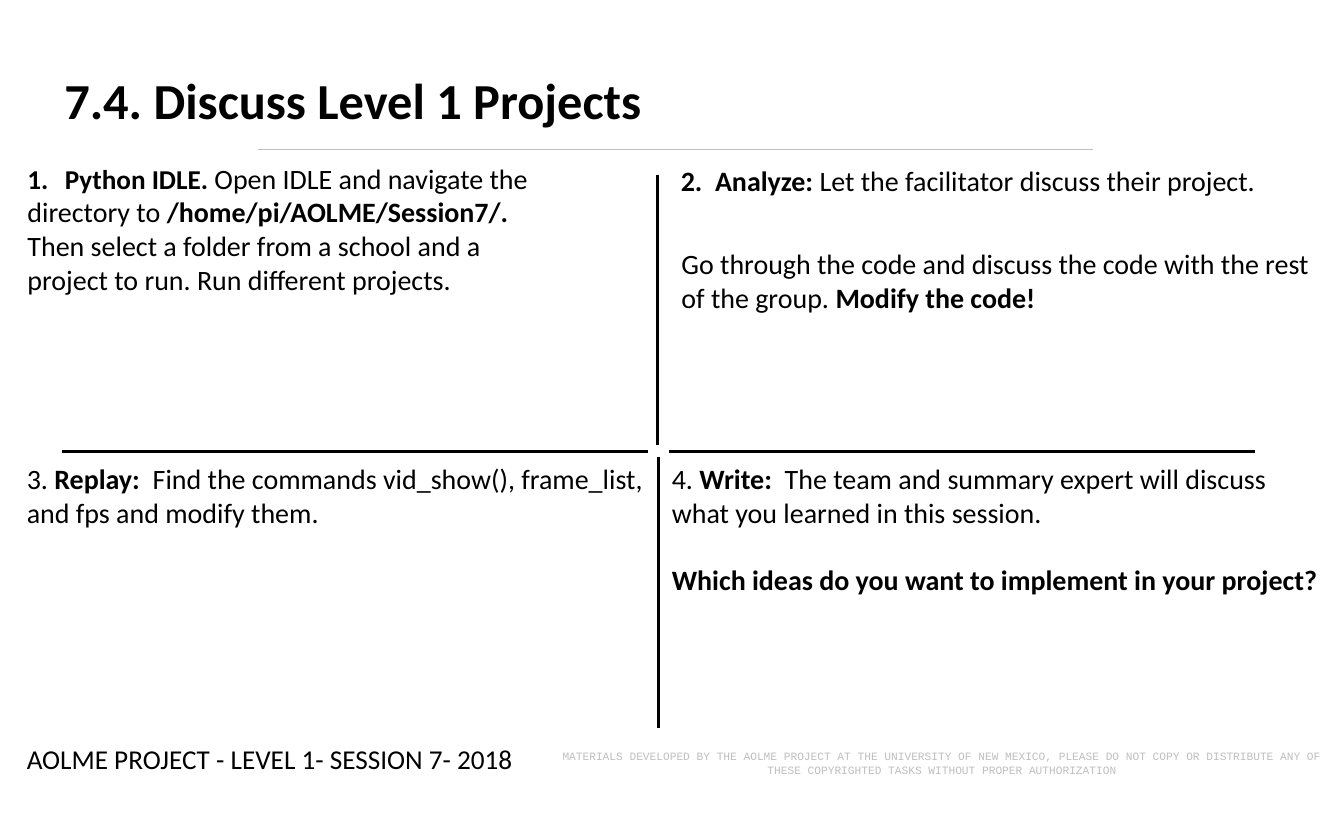
from lxml import etree
from pptx import Presentation
from pptx.dml.color import RGBColor
from pptx.enum.shapes import MSO_CONNECTOR
from pptx.enum.text import MSO_ANCHOR, MSO_AUTO_SIZE, PP_ALIGN
from pptx.oxml.ns import qn
from pptx.util import Pt

STRAIGHT = MSO_CONNECTOR.STRAIGHT
TOP, MIDDLE = MSO_ANCHOR.TOP, MSO_ANCHOR.MIDDLE
LEFT, CENTER = PP_ALIGN.LEFT, PP_ALIGN.CENTER
NO_AUTOSIZE = MSO_AUTO_SIZE.NONE

COLORS = {"ink": "000000", "rule": "BFBFBF", "notice": "BFBFBF"}
BODY = {"name": "Calibri", "size": Pt(21), "bold": False}
BOLD = {"bold": True}


def place(sp, box):
    sp.left, sp.top, sp.width, sp.height = [Pt(v) for v in box]


def add_box(s, box):
    return s.shapes.add_textbox(*[Pt(v) for v in box])


def add_line(s, x1, y1, x2, y2, color="ink", width=2.25):
    sp = s.shapes.add_connector(STRAIGHT, Pt(x1), Pt(y1), Pt(x2), Pt(y2))
    sp.line.color.rgb = RGBColor.from_string(COLORS[color])
    sp.line.width = Pt(width)
    etree.SubElement(sp._element.spPr, qn("a:effectLst"))


def set_bullet(p, number=False, indent=0):
    pPr = p._p.get_or_add_pPr()
    pPr.set("marL", str(Pt(indent)))
    pPr.set("indent", str(-Pt(indent)))
    if number:
        etree.SubElement(pPr, qn("a:buFont"), typeface="+mj-lt")
        etree.SubElement(pPr, qn("a:buAutoNum"), type="arabicPeriod")
    else:
        etree.SubElement(pPr, qn("a:buNone"))


def fill_text(sp, paragraphs, base=BODY, color="ink", align=LEFT, anchor=TOP,
              wrap=True, gap=0):
    """Each paragraph is a list of (text, format changes) runs."""
    tf = sp.text_frame
    tf.auto_size = NO_AUTOSIZE
    tf.word_wrap = wrap
    tf.vertical_anchor = anchor
    for i, runs in enumerate(paragraphs):
        p = tf.paragraphs[0] if i == 0 else tf.add_paragraph()
        p.alignment = align
        p.space_before = Pt(gap if i else 0)
        for text, changes in runs:
            r = p.add_run()
            r.text = text
            for key, value in {**base, **changes}.items():
                setattr(r.font, key, value)
            r.font.color.rgb = RGBColor.from_string(COLORS[color])
    return tf


def build_title(s, box):
    sp = s.shapes.title
    place(sp, box)
    fill_text(sp, [[("7.4. Discuss Level 1 Projects", {})]],
              {**BODY, "size": Pt(37.8), "bold": True})
    # Thin rule under the title
    add_line(s, 193.7, 112, 819.4, 112, "rule", 0.75)


def build_dividers(s, box):
    left, top, width, height = box
    right, bottom = left + width, top + height
    mid_x, mid_y = left + width / 2, top + height / 2
    for x1, x2 in ((left, mid_x - 8), (mid_x + 8, right)):
        add_line(s, x1, mid_y, x2, mid_y)
    for x, y1, y2 in ((mid_x - 1, top, mid_y - 5), (mid_x, mid_y + 4, bottom)):
        add_line(s, x, y1, x, y2)


def build_run_step(s, box):
    sp = s.placeholders[1]
    place(sp, box)
    tf = fill_text(sp, [
        [("Python IDLE. ", {**BOLD, "size": Pt(20.4)}),
         ("Open IDLE and navigate the", {})],
        [("directory to ", {}), ("/home/pi/AOLME/Session7/.", BOLD)],
        [("Then select a folder from a school and a", {})],
        [("project to run. Run different projects.", {})],
    ])
    set_bullet(tf.paragraphs[0], number=True, indent=28)
    for p in tf.paragraphs[1:]:
        set_bullet(p)


def build_analyze_step(s, box):
    left, top, width, height = box
    fill_text(add_box(s, (left, top, width, 32.4)), [
        [("2.  Analyze: ", BOLD),
         ("Let the facilitator discuss their project.", {})]])
    fill_text(add_box(s, (left + 0.5, top + 62.6, width, height - 62.6)), [
        [("Go through the code and discuss the code with the rest of the group. ",
          {}), ("Modify the code!", BOLD)]])


def build_replay_step(s, box):
    fill_text(add_box(s, box), [
        [("3. ", {}), ("Replay:  ", BOLD),
         ("Find the commands vid_show(), frame_list, and fps and modify them.",
          {})]])


def build_write_step(s, box):
    fill_text(add_box(s, box), [
        [("4. ", {}), ("Write:  ", BOLD),
         ("The team and summary expert will discuss what you learned in this "
          "session.", {})],
        [("Which ideas do you want to implement in your project?", BOLD)],
    ], gap=25)


def build_footer(s, box):
    left, top, width, height = box
    fill_text(add_box(s, (left, top, 388.8, height)),
              [[("AOLME PROJECT - LEVEL 1- SESSION 7- 2018", {})]],
              {**BODY, "size": Pt(20.4)}, wrap=False)
    # Copyright notice
    fill_text(add_box(s, (left + width - 598.3, top + 5, 598.3, 28.8)),
              [[("MATERIALS DEVELOPED BY THE AOLME PROJECT AT THE UNIVERSITY OF "
                 "NEW MEXICO, PLEASE DO NOT COPY OR DISTRIBUTE ANY OF THESE "
                 "COPYRIGHTED TASKS WITHOUT PROPER AUTHORIZATION", {})]],
              {"name": "Courier New", "size": Pt(8.4)},
              "notice", CENTER, MIDDLE)


def main():
    prs = Presentation()
    prs.slide_width, prs.slide_height = Pt(1008), Pt(612)
    s = prs.slides.add_slide(prs.slide_layouts[1])
    build_dividers(s, (46.8, 131, 894.4, 415))
    build_title(s, (41, 48.2, 897.8, 53.3))
    build_run_step(s, (13.4, 117.4, 506.2, 108.7))
    build_analyze_step(s, (503.5, 118.8, 491, 121))
    build_replay_step(s, (13, 342.7, 480.2, 58.3))
    build_write_step(s, (496.8, 342.7, 501.8, 134.6))
    build_footer(s, (13, 553, 992.8, 31.7))
    prs.save("out.pptx")


if __name__ == "__main__":
    main()
